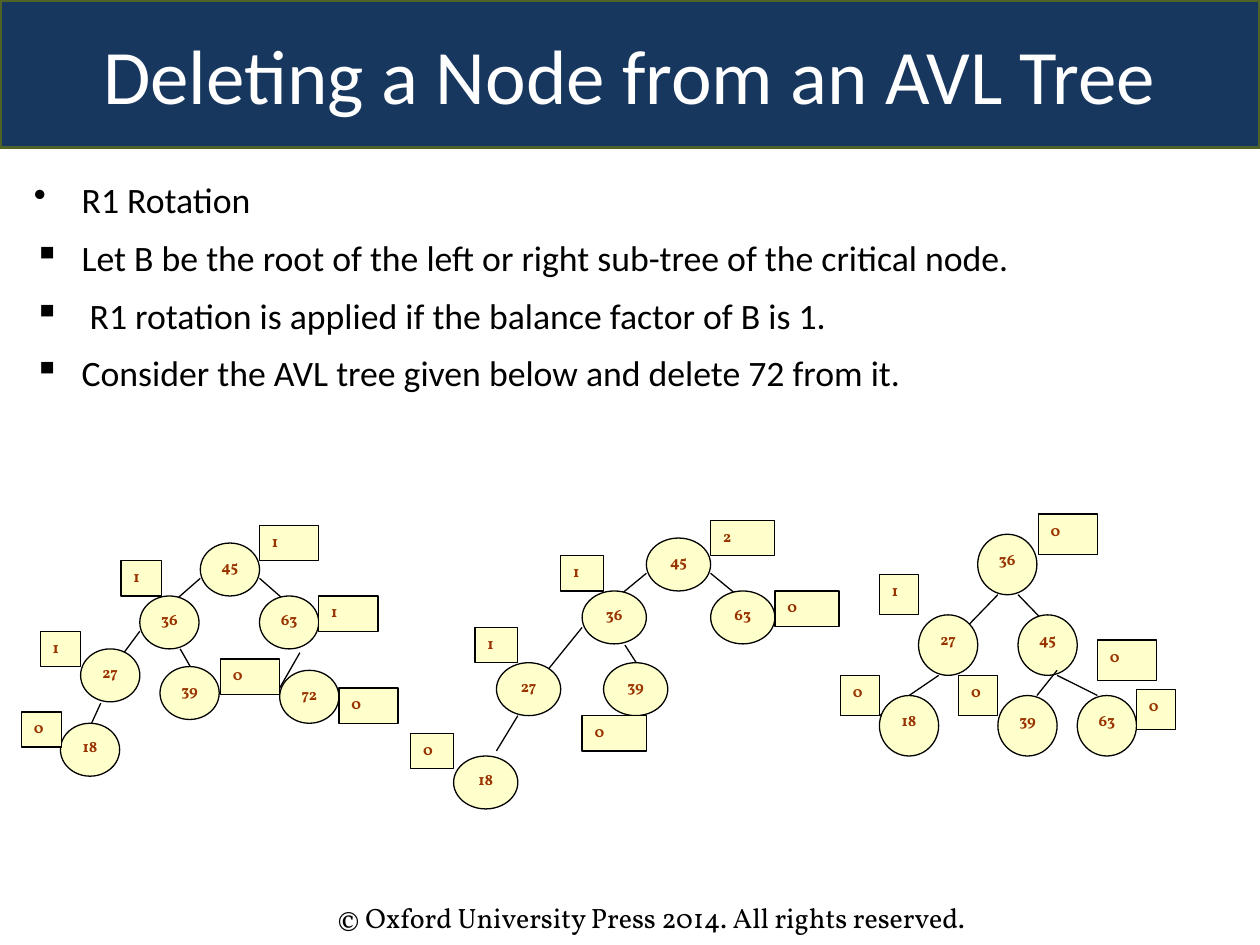
from lxml.etree import SubElement as Sub
from pptx import Presentation
from pptx.dml.color import RGBColor as Rgb
from pptx.enum.shapes import MSO_CONNECTOR as Link, MSO_SHAPE as Kind
from pptx.enum.text import MSO_ANCHOR as Anchor, PP_ALIGN as Align
from pptx.oxml.ns import qn
from pptx.util import Pt

PX = 9144  # 100 px to the inch
HUE = {"navy": "17375E", "olive": "4F6228", "white": "FFFFFF",
       "black": "000000", "cream": "FFFFCC", "rust": "993300"}


def write(frame, lines, font="Calibri", size=20.4, hue="black", bold=False,
          align=Align.LEFT, anchor=Anchor.TOP, wrap=True, marks=None, gap=0, lead=1.0):
    """Fill a text frame, one paragraph to a line."""
    frame.word_wrap = wrap
    frame.vertical_anchor = anchor
    for i, line in enumerate(lines):
        para = frame.paragraphs[0] if i == 0 else frame.add_paragraph()
        if marks:
            prop = para._p.get_or_add_pPr()
            prop.set("marL", str(38 * PX))
            prop.set("indent", str(-38 * PX))
            tint = Sub(prop, qn("a:buClr"))
            Sub(tint, qn("a:srgbClr"), val=HUE[hue])
            Sub(prop, qn("a:buChar"), char=marks[i])
        para.alignment = align
        para.line_spacing = lead
        if i:
            para.space_before = Pt(gap)
        run = para.add_run()
        run.text = line
        run.font.name, run.font.size, run.font.bold = font, Pt(size), bold
        run.font.color.rgb = Rgb.from_string(HUE[hue])


def draw(home, kind, box, fill, line, width):
    """Add a filled and outlined preset shape."""
    shape = home.add_shape(kind, *[n * PX for n in box])
    shape.shadow.inherit = False
    shape.fill.solid()
    shape.fill.fore_color.rgb = Rgb.from_string(HUE[fill])
    shape.line.color.rgb = Rgb.from_string(HUE[line])
    shape.line.width = Pt(width)
    return shape


deck = Presentation()
deck.slide_width, deck.slide_height = 1000 * PX, 750 * PX
slide = deck.slides.add_slide(deck.slide_layouts[6])
items = slide.shapes

# Footer
foot = items.add_textbox(258 * PX, 710 * PX, 592 * PX, 37 * PX)
write(foot.text_frame, ["© Oxford University Press 2014. All rights reserved."],
      font="Vollkorn", size=16)

# Title band
band = draw(items, Kind.ROUNDED_RECTANGLE, (0, 0, 1000, 117), "navy", "olive", 2)
band.adjustments[0] = 0
write(band.text_frame, ["Deleting a Node from an AVL Tree"], size=44,
      hue="white", align=Align.CENTER, anchor=Anchor.MIDDLE)

# Bullets
body = items.add_textbox(17 * PX, 133 * PX, 967 * PX, 175 * PX)
write(body.text_frame, [
    "R1 Rotation",
    "Let B be the root of the left or right sub-tree of the critical node.",
    " R1 rotation is applied if the balance factor of B is 1.",
    "Consider the AVL tree given below and delete 72 from it.",
], marks="•▪▪▪", gap=6, lead=1.1)

# Trees: node size, tag height, slim tag width; nodes as key, x, y;
# slim and wide tags as factor, x, y; edges below and above the nodes
trees = [
    {"node": (47, 42), "tall": 28, "thin": 32,
     "nodes": [(45, 159, 431), (63, 206, 473), (36, 111, 473), (27, 64, 515),
               (39, 127, 529), (72, 222, 532), (18, 48, 574)],
     "slim": [(1, 32, 501), (1, 96, 445), (0, 17, 565)],
     "wide": [(1, 253, 473), (1, 206, 417), (0, 175, 523), (0, 269, 546)],
     "under": [(159, 459, 127, 487), (206, 459, 238, 487), (111, 501, 88, 532),
               (143, 515, 159, 543), (80, 558, 64, 593)],
     "over": [(238, 518, 222, 546)]},
    {"node": (51, 42), "tall": 28, "thin": 34,
     "nodes": [(45, 513, 427), (63, 564, 469), (36, 462, 469), (27, 394, 526),
               (39, 479, 526), (18, 360, 600)],
     "slim": [(1, 377, 498), (1, 445, 441), (0, 326, 582)],
     "wide": [(0, 615, 469), (2, 564, 413), (0, 462, 568)],
     "under": [(513, 455, 479, 483), (564, 455, 598, 483), (462, 498, 428, 540),
               (496, 512, 505, 526), (411, 568, 394, 596)],
     "over": []},
    {"node": (47, 48), "tall": 32, "thin": 31,
     "nodes": [(36, 776, 424), (45, 808, 488), (27, 729, 488), (18, 698, 552),
               (39, 792, 552), (63, 855, 552)],
     "slim": [(0, 667, 536), (0, 761, 536), (1, 698, 456), (0, 902, 547)],
     "wide": [(0, 871, 508), (0, 824, 408)],
     "under": [(792, 472, 761, 504), (808, 472, 839, 504), (745, 536, 698, 568)],
     "over": [(839, 532, 823, 552), (839, 536, 871, 552)]},
]

for tree in trees:
    group = items.add_group_shape().shapes
    wide, high = tree["node"]
    for layer in ("under", "nodes", "slim", "wide", "over"):
        for part in tree[layer]:
            # Edges
            if layer in ("under", "over"):
                edge = group.add_connector(Link.STRAIGHT, *[n * PX for n in part])
                edge.line.color.rgb = Rgb.from_string(HUE["black"])
                edge.line.width = Pt(0.75)
                Sub(edge._element.spPr, qn("a:effectLst"))
                continue
            # Nodes and balance tags
            mark, x, y = part
            is_node = layer == "nodes"
            box = (x, y, tree["thin"] if layer == "slim" else wide,
                   high if is_node else tree["tall"])
            shape = draw(group, Kind.OVAL if is_node else Kind.RECTANGLE,
                         box, "cream", "black", 0.75)
            write(shape.text_frame, [str(mark)], font="Vollkorn", size=9,
                  hue="rust", bold=True, wrap=not is_node,
                  align=Align.CENTER if is_node else Align.LEFT)

deck.save("out.pptx")
